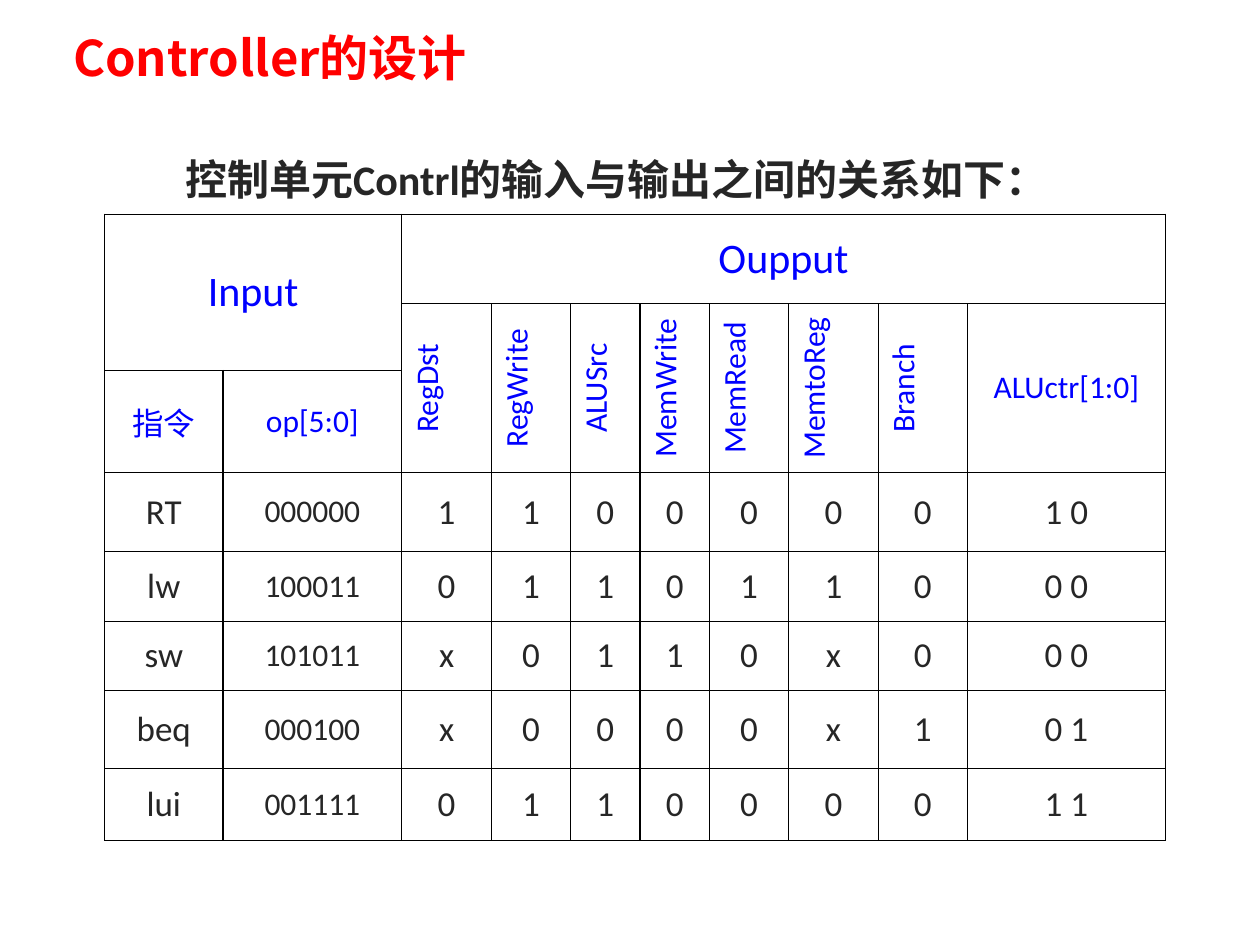
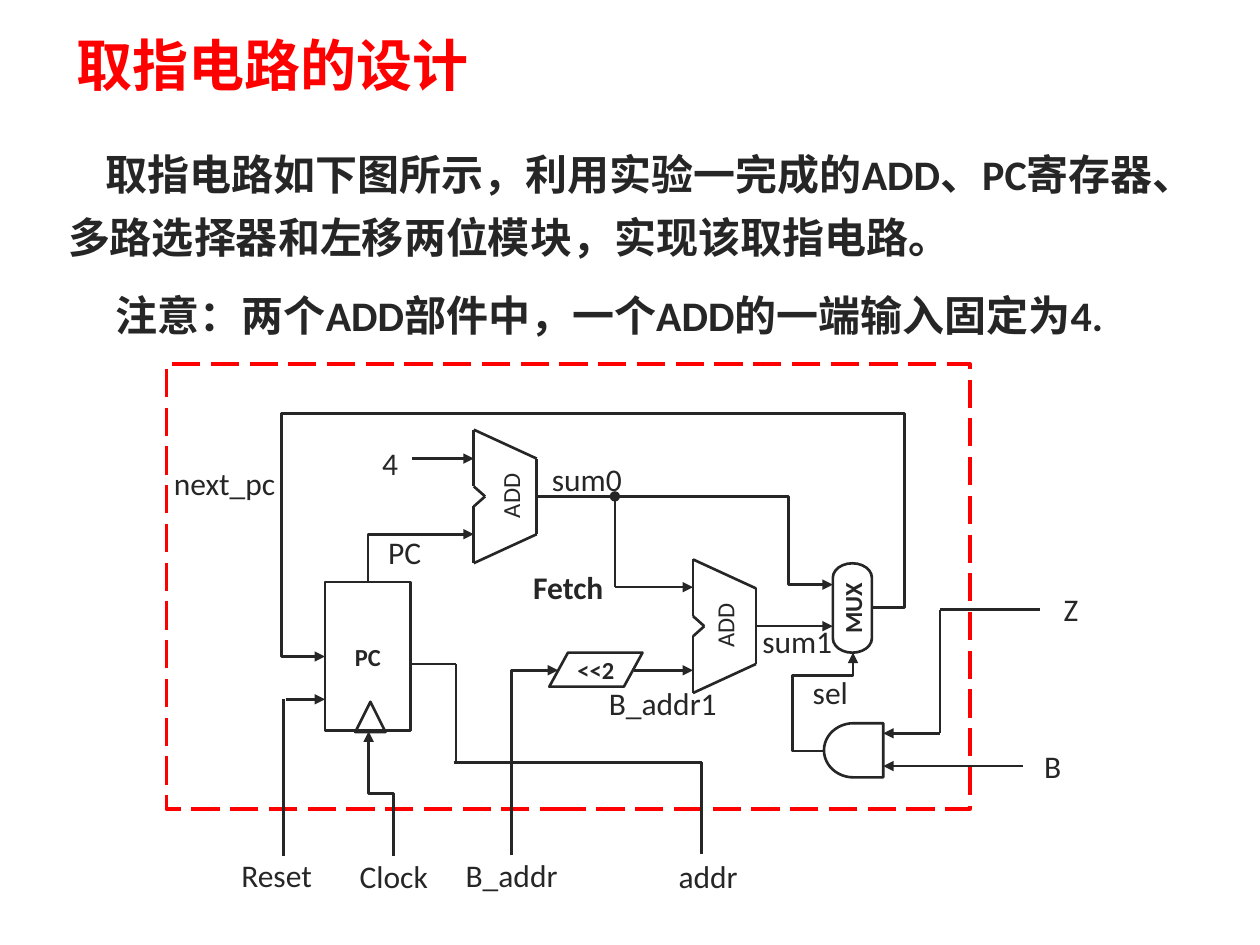
from lxml import etree
from pptx import Presentation
from pptx.dml.color import RGBColor
from pptx.enum.dml import MSO_LINE
from pptx.enum.shapes import MSO_CONNECTOR, MSO_SHAPE
from pptx.enum.text import MSO_ANCHOR, MSO_AUTO_SIZE, PP_ALIGN
from pptx.oxml.ns import qn
from pptx.util import Pt

PX = 9144
RED, BLUE, INK, BLACK = "FF0000", "0000FF", "262626", "000000"
BODY_FONT, CJK_FONT = "Calibri", "Noto Sans CJK JP"
LEFT, CENTER = PP_ALIGN.LEFT, PP_ALIGN.CENTER
TOP, MIDDLE = MSO_ANCHOR.TOP, MSO_ANCHOR.MIDDLE
FIT, FIXED = MSO_AUTO_SIZE.SHAPE_TO_FIT_TEXT, MSO_AUTO_SIZE.NONE
STRAIGHT, ELBOW = MSO_CONNECTOR.STRAIGHT, MSO_CONNECTOR.ELBOW
RECTANGLE = MSO_SHAPE.RECTANGLE
LONG_DASH = MSO_LINE.LONG_DASH

CONTROL_TITLE = ("Controller的设计", (48, 8, 919, 75), 28)
CONTROL_INTRO = ("控制单元Contrl的输入与输出之间的关系如下：", (106, 107, 780, 58))
TABLE_PLACE = (83, 170, 843, 497)
COLUMN_WIDTHS = [94, 142, 71, 63, 55, 55, 63, 71, 71, 157]
ROW_HEIGHTS = [71, 53, 81, 63, 55, 55, 62, 57]
SIGNALS = ["RegDst", "RegWrite", "ALUSrc", "MemWrite", "MemRead", "MemtoReg", "Branch"]
INSTRUCTIONS = [
    ("RT", "000000", "1100000", "1 0"),
    ("lw", "100011", "0110110", "0 0"),
    ("sw", "101011", "x0110x0", "0 0"),
    ("beq", "000100", "x0000x1", "0 1"),
    ("lui", "001111", "0110000", "1 1"),
]

FETCH_TITLE = ("取指电路的设计", (51, 13, 879, 75), 32)
FETCH_NOTES = [
    ("取指电路如下图所示，利用实验一完成的ADD、PC寄存器、多路选择器和左移两位模块，实现该取指电路。",
     (43, 103, 929, 112)),
    ("注意：两个ADD部件中，一个ADD的一端输入固定为4.", (51, 215, 906, 61)),
]
ADDER_OUTLINE = [(0, 0), (0, 45), (9, 53), (0, 61), (0, 106), (50, 83), (50, 23)]
ADDERS = [
    ((376, 341), (367, 373, 76, 41)),
    ((550, 444), (537, 479, 76, 35)),
]
BLOCKS = [
    (RECTANGLE, "PC", (258, 462, 68, 118), {}),
    (MSO_SHAPE.FLOWCHART_DATA, "<<2", (436, 518, 74, 27), {}),
    (MSO_SHAPE.FLOWCHART_TERMINATOR, "MUX", (641, 467, 71, 31), {"rotation": 270}),
    (MSO_SHAPE.FLOWCHART_DELAY, "", (654, 574, 47, 43), {"flip": "H"}),
    (MSO_SHAPE.FLOWCHART_EXTRACT, "", (282, 557, 24, 24), {}),
    (RECTANGLE, "Fetch", (132, 289, 638, 353),
     {"color": RED, "weight": 2, "dash": LONG_DASH, "size": 18}),
]
WIRES = [
    ((327, 364, 376, 364), {"tail": "triangle"}),
    ((599, 497, 661, 497), {"tail": "triangle"}),
    ((503, 532, 550, 532), {"tail": "triangle"}),
    ((488, 394, 488, 466), {"head": "oval"}),
    ((488, 466, 550, 466), {"tail": "triangle"}),
    ((701, 582, 746, 582), {"head": "triangle"}),
    ((746, 484, 746, 582), {}),
    ((746, 484, 825, 484), {}),
    ((701, 608, 812, 608), {"head": "triangle"}),
    ((227, 555, 258, 555), {"tail": "triangle"}),
    ((225, 555, 225, 679), {}),
    ((327, 527, 362, 527), {}),
    ((362, 527, 362, 605), {}),
    ((360, 605, 557, 605), {}),
    ((557, 605, 557, 678), {}),
]
BENT_WIRES = [
    ((315, 401, 38, 84), 2, 90, "HV", []),
    ((258, 482, 434, 39), 5, 0, "H", [-0.06, -3.94, 1.08]),
    ((351, 587, 147, 37), 2, 90, "HV", []),
    ((426, 394, 235, 70), 3, 0, "", [0.85]),
    ((654, 518, 23, 78), 4, 180, "H", [-1.09, 0.77]),
    ((253, 620, 99, 20), 3, 270, "V", [0.5]),
]
PIN_LABELS = [
    ("Z", (833, 468, 34, 31)),
    ("B_addr", (362, 679, 88, 31)),
    ("B", (816, 592, 39, 31)),
    ("4", (282, 352, 55, 31)),
    ("Reset", (180, 679, 79, 31)),
    ("Clock", (273, 680, 79, 31)),
    ("addr", (518, 680, 88, 31)),
    ("B_addr1", (482, 542, 88, 31)),
]
NET_LABELS = [
    ("sum0", (397, 353, 125, 49)),
    ("sum1", (564, 481, 126, 46)),
    ("sel", (604, 522, 92, 49)),
    ("next_pc", (97, 356, 156, 46)),
    ("PC", (267, 411, 90, 49)),
]


def scaled(place):
    return [length * PX for length in place]


def rgb(code):
    return RGBColor.from_string(code)


def write(frame, text, size=18, color=INK, bold=False, font=BODY_FONT,
          align=CENTER, indent=0, spacing=None):
    para = frame.paragraphs[0]
    para.alignment = align
    para.line_spacing = spacing
    if indent:
        para._p.get_or_add_pPr().set("indent", str(indent * PX))
    span = para.add_run()
    span.text = text
    span.font.size = Pt(size)
    span.font.bold = bold
    span.font.name = font
    span.font.color.rgb = rgb(color)
    etree.SubElement(span.font._element, qn("a:ea"), typeface=CJK_FONT)


def settle(frame, anchor=MIDDLE, insets=(0, 0), fit=FIXED):
    frame.word_wrap = True
    frame.auto_size = fit
    frame.vertical_anchor = anchor
    frame.margin_left = frame.margin_right = insets[0] * PX
    frame.margin_top = frame.margin_bottom = insets[1] * PX


def add_label(shapes, text, place, insets=(0, 0), rotation=0, **style):
    box = shapes.add_textbox(*scaled(place))
    box.rotation = rotation
    settle(box.text_frame, insets=insets)
    write(box.text_frame, text, **style)


def add_note(shapes, text, place, **style):
    box = shapes.add_textbox(*scaled(place))
    settle(box.text_frame, TOP, (11, 5), FIT)
    write(box.text_frame, text, align=LEFT, indent=30, spacing=1.25, **style)


def flip_frame(shape, axes):
    frame = shape.element.spPr.find(qn("a:xfrm"))
    for axis in axes:
        frame.set("flip" + axis, "1")
    return frame


def add_block(shapes, kind, text, place, rotation=0, flip="", color=INK,
              weight=1.5, dash=None, size=14):
    block = shapes.add_shape(kind, *scaled(place))
    block.shadow.inherit = False
    block.fill.background()
    block.line.color.rgb = rgb(color)
    block.line.width = Pt(weight)
    block.line.dash_style = dash
    block.rotation = rotation
    flip_frame(block, flip)
    if text:
        settle(block.text_frame)
        write(block.text_frame, text, size=size, bold=True)


def add_wire(shapes, ends, kind=STRAIGHT, head=None, tail=None):
    wire = shapes.add_connector(kind, *scaled(ends))
    wire.line.color.rgb = rgb(INK)
    wire.line.width = Pt(1.5)
    etree.SubElement(wire.element.spPr, qn("a:effectLst"))
    line = wire.element.spPr.find(qn("a:ln"))
    for tag, arrow in (("a:headEnd", head), ("a:tailEnd", tail)):
        if arrow:
            etree.SubElement(line, qn(tag), type=arrow)
    return wire


def add_bent_wire(shapes, place, bends, rotation, flip, adjustments):
    left, top, width, height = place
    wire = add_wire(shapes, (left, top, left + width, top + height), ELBOW, tail="triangle")
    flip_frame(wire, flip).set("rot", str(rotation * 60000))
    geometry = wire.element.spPr.find(qn("a:prstGeom"))
    geometry.set("prst", f"bentConnector{bends}")
    for child in list(geometry):
        geometry.remove(child)
    guides = etree.SubElement(geometry, qn("a:avLst"))
    for number, value in enumerate(adjustments, 1):
        etree.SubElement(guides, qn("a:gd"), name=f"adj{number}",
                         fmla=f"val {round(value * 100000)}")


def add_adder(shapes, origin, label_place):
    left, top = origin
    group = shapes.add_group_shape()
    corners = [(left + x, top + y) for x, y in ADDER_OUTLINE]
    for start, end in zip(corners, corners[1:] + corners[:1]):
        add_wire(group.shapes, start + end)
    add_label(shapes, "ADD", label_place, insets=(10, 5), rotation=270, size=14)


def add_page(deck, text, place, size):
    page = deck.slides.add_slide(deck.slide_layouts[5])
    title = page.shapes.title
    title.left, title.top, title.width, title.height = scaled(place)
    settle(title.text_frame, insets=(10, 5))
    write(title.text_frame, text, size=size, color=RED, bold=True, font=CJK_FONT, align=LEFT)
    return page


def border_cell(cell):
    properties = cell._tc.get_or_add_tcPr()
    for side in "LRTB":
        line = etree.SubElement(properties, qn("a:ln" + side), w=str(Pt(0.75)))
        fill = etree.SubElement(line, qn("a:solidFill"))
        etree.SubElement(fill, qn("a:srgbClr"), val=BLACK)
    cell.fill.background()
    cell.vertical_anchor = MIDDLE


def add_control_table(shapes):
    table = shapes.add_table(len(ROW_HEIGHTS), len(COLUMN_WIDTHS), *scaled(TABLE_PLACE)).table
    table.first_row = table.horz_banding = False
    for column, width in zip(table.columns, COLUMN_WIDTHS):
        column.width = width * PX
    for row, height in zip(table.rows, ROW_HEIGHTS):
        row.height = height * PX
    for cell in table.iter_cells():
        border_cell(cell)

    def heading(row, column, text, rows=1, columns=1, size=18):
        cell = table.cell(row, column)
        if rows * columns > 1:
            cell.merge(table.cell(row + rows - 1, column + columns - 1))
        write(cell.text_frame, text, size=size, color=BLUE)
        return cell

    heading(0, 0, "Input", 2, 2, 24)
    heading(0, 2, "Oupput", 1, 8, 24)
    heading(2, 0, "指令")
    heading(2, 1, "op[5:0]")
    heading(1, 9, "ALUctr[1:0]", 2)
    for column, signal in enumerate(SIGNALS, 2):
        cell = heading(1, column, signal, 2)
        cell._tc.get_or_add_tcPr().set("vert", "vert270")
    for row, (name, opcode, bits, control) in enumerate(INSTRUCTIONS, 3):
        for column, text in enumerate([name, opcode, *bits, control]):
            write(table.cell(row, column).text_frame, text, size=18 if column == 1 else 20)


def build_control_page(deck):
    page = add_page(deck, *CONTROL_TITLE)
    add_control_table(page.shapes)
    add_note(page.shapes, *CONTROL_INTRO, size=24, bold=True)


def build_fetch_page(deck):
    shapes = add_page(deck, *FETCH_TITLE).shapes
    for kind, text, place, style in BLOCKS:
        add_block(shapes, kind, text, place, **style)
    for origin, label_place in ADDERS:
        add_adder(shapes, origin, label_place)
    for ends, arrows in WIRES:
        add_wire(shapes, ends, **arrows)
    for bent_wire in BENT_WIRES:
        add_bent_wire(shapes, *bent_wire)
    for text, place in PIN_LABELS:
        add_label(shapes, text, place)
    for text, place in NET_LABELS:
        add_note(shapes, text, place)
    for text, place in FETCH_NOTES:
        add_note(shapes, text, place, size=24, bold=True)


def main():
    deck = Presentation()
    deck.slide_width, deck.slide_height = scaled((1000, 750))
    build_control_page(deck)
    build_fetch_page(deck)
    deck.save("out.pptx")


if __name__ == "__main__":
    main()
